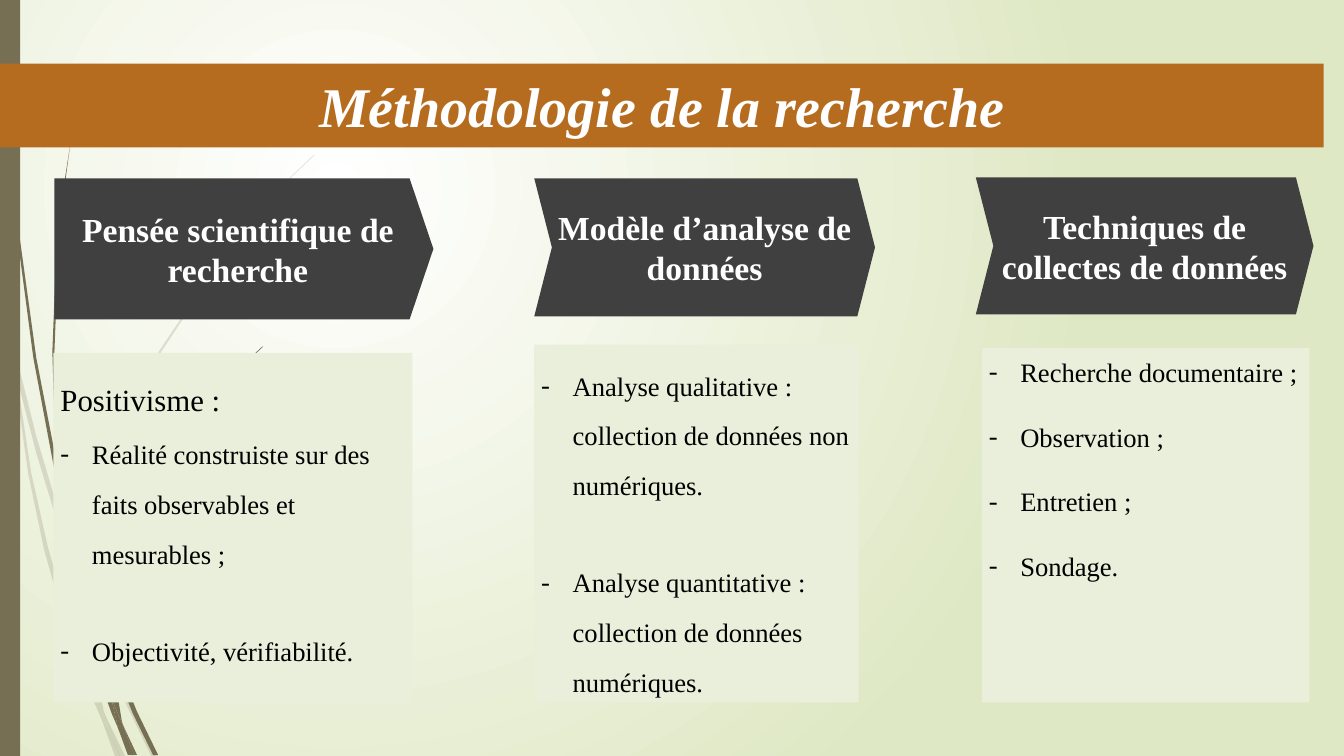
import pptx
import pptx.dml.color
import pptx.enum.shapes
import pptx.enum.text
import pptx.oxml
import pptx.oxml.ns
import pptx.util

Pt = pptx.util.Pt
RGB = pptx.dml.color.RGBColor
Preset = pptx.enum.shapes.MSO_SHAPE
Align = pptx.enum.text.PP_ALIGN
Anchor = pptx.enum.text.MSO_ANCHOR
qn = pptx.oxml.ns.qn

FONT = "Times New Roman"
WHITE = RGB(0xFF, 0xFF, 0xFF)
BLACK = RGB(0, 0, 0)
PALE_GREEN = RGB(0xDF, 0xE8, 0xC4)
CARD_GREEN = RGB(0xEA, 0xEF, 0xDB)
OLIVE = RGB(0x76, 0x6F, 0x54)
CHARCOAL = RGB(0x40, 0x40, 0x40)
BROWN = RGB(0xB6, 0x6C, 0x1F)
DASH_INDENT = 22.5

# Content: boxes are left, top, width, height in points
TITLE = "Méthodologie de la recherche"
TITLE_BOX = (0, 45.4, 945.4, 59.8)
SIDE_BAR = (0, 0, 14.4, 540)

# Each line: text, size, dash, space before
COLUMNS = [
    dict(heading="Pensée scientifique de recherche", preset=Preset.PENTAGON,
         point=0.169, heading_box=(38.9, 127.4, 270.7, 100.8),
         card_box=(38.2, 252, 256.3, 249.8), spacing=1.56,
         lines=[("Positivisme :", 22, False, 0),
                ("Réalité construiste sur des faits observables et mesurables ;",
                 19, True, 2),
                ("Objectivité, vérifiabilité.", 19, True, 34)]),
    dict(heading="Modèle d’analyse de données", preset=Preset.CHEVRON,
         point=0.128, heading_box=(381.6, 127.4, 243.4, 98.6),
         card_box=(381.6, 246.2, 231.8, 255.6), spacing=1.56,
         lines=[("Analyse qualitative : collection de données non numériques.",
                 19, True, 0),
                ("Analyse quantitative : collection de données numériques.",
                 19, True, 34)]),
    dict(heading="Techniques de collectes de données", preset=Preset.CHEVRON,
         point=0.128, heading_box=(697, 126.7, 241.2, 97.9),
         card_box=(701.3, 248.4, 234, 253.4), spacing=1.04,
         lines=[("Recherche documentaire ;", 19, True, 0),
                ("Observation ;", 19, True, 22.5),
                ("Entretien ;", 19, True, 22.5),
                ("Sondage.", 19, True, 22.5)]),
]

# Outlines of the grass blades, in points
PALE_BLADES = [
    [(41.8, 375.8), (60.5, 431.3), (61.2, 421.9), (44.6, 374.4), (26, 311.9),
     (10.1, 248.4), (12.2, 270.7), (25.9, 323.6)],
    [(66.2, 437), (63.4, 429.1), (63.4, 439.2), (88.6, 499.7), (108, 540),
     (111.6, 540), (91.4, 498.2)],
    [(85.7, 540), (89.3, 540), (75.6, 511.9)],
    [(67, 491.8), (50.4, 445.7), (34.5, 392), (22.3, 337.7), (12.2, 270.7),
     (7.9, 252), (20.2, 338.4), (31.6, 393), (46.8, 447.1), (66.2, 499),
     (72.7, 514.1), (71.3, 509)],
    [(60.5, 431.3), (62.6, 465.1), (67, 491.8), (69.1, 498.2), (75.6, 511.9),
     (74.2, 508.3), (65.5, 465.1), (63.4, 439.2)],
    [(63.4, 420.5), (79.2, 332.6), (115.2, 251.3), (164.9, 176.4), (193, 142.6),
     (208.8, 126), (224.6, 110.9), (224.6, 110.2), (208.1, 126), (193, 141.8),
     (164.2, 175.7), (113.8, 250.6), (77, 331.9), (61.2, 420.5), (63.4, 429.1)],
    [(72.7, 514.1), (82.1, 540), (85.7, 540)],
    [(69.1, 498.2), (67, 491.8), (71.3, 509), (72.7, 514.1), (85.7, 540),
     (75.6, 511.9)],
]
DARK_BLADES = [
    [(5, 79.2), (12.2, 167.8), (23.8, 255.6), (40.3, 343.4), (41, 346.3),
     (39.6, 329), (39.6, 326.2), (25.9, 255.6), (13.7, 167), (5.8, 78.5),
     (3.6, 34.6), (2.9, 0), (2.2, 0), (2.9, 34.6)],
    [(81.4, 467.3), (79.2, 461.5), (79.9, 472.3), (95, 509.8), (109.4, 539.3),
     (113, 539.3), (97.9, 508.3)],
    [(79.2, 497.5), (70.6, 473), (51.8, 400.3), (46.1, 363.6), (41, 343.4),
     (49, 401), (67, 474.5), (79.9, 509.8), (84.2, 519.8), (83.5, 516.2)],
    [(43.2, 339.8), (41.8, 326.2), (38.9, 251.3), (41.8, 176.4), (45.4, 139),
     (50.4, 101.5), (44.6, 139), (40.3, 176.4), (37.4, 251.3), (39.6, 323.3)],
    [(95.8, 539.3), (97.9, 539.3), (87.8, 517.7)],
    [(79.9, 455.8), (90, 397.4), (113.8, 342.7), (147.6, 292.3), (166.3, 269.3),
     (176.4, 258.5), (187.9, 247.7), (187.2, 247.7), (176.4, 257.8),
     (166.3, 268.6), (146.9, 291.6), (112.3, 341.3), (87.8, 396.7),
     (76.3, 454.3), (79.2, 461.5)],
    [(84.2, 519.8), (91.4, 539.3), (94.3, 539.3)],
    [(76.3, 464.4), (79.2, 497.5), (83.5, 508.3), (87.8, 517.7), (87.1, 515.5),
     (79.9, 472.3)],
    [(83.5, 508.3), (79.2, 497.5), (83.5, 516.2), (84.2, 519.8), (93.6, 539.3),
     (95.8, 539.3), (87.8, 517.7)],
]


def add_xml(parent, tag, **attributes):
    child = pptx.oxml.ns.qn(tag)
    element = parent.makeelement(child, attributes)
    parent.append(element)
    return element


def paint(part, color):
    part.shadow.inherit = False
    part.fill.solid()
    part.fill.fore_color.rgb = color
    part.line.fill.background()


def place(part, box):
    part.left, part.top, part.width, part.height = (Pt(v) for v in box)


def set_frame(part, anchor, inset_x, inset_y):
    frame = part.text_frame
    frame.word_wrap = True
    frame.auto_size = pptx.enum.text.MSO_AUTO_SIZE.NONE
    frame.vertical_anchor = anchor
    frame.margin_left = frame.margin_right = Pt(inset_x)
    frame.margin_top = frame.margin_bottom = Pt(inset_y)
    return frame


def write(paragraph, text, *, size, color=WHITE, bold=True, italic=False,
          align=Align.CENTER, spacing=1.0, before=0, dash=False):
    run = paragraph.add_run()
    run.text = text
    font = run.font
    font.name, font.size, font.bold, font.italic = FONT, Pt(size), bold, italic
    font.color.rgb = color
    paragraph.alignment = align
    paragraph.line_spacing = spacing
    paragraph.space_before, paragraph.space_after = Pt(before), Pt(0)
    properties = paragraph._p.get_or_add_pPr()
    indent = Pt(DASH_INDENT) if dash else 0
    properties.set("marL", str(indent))
    properties.set("indent", str(-indent))
    if dash:
        add_xml(properties, "a:buFont", typeface=FONT)
        add_xml(properties, "a:buChar", char="-")
    else:
        add_xml(properties, "a:buNone")


deck = pptx.Presentation()
deck.slide_width, deck.slide_height = Pt(960), Pt(540)
slide = deck.slides.add_slide(deck.slide_layouts[4])
shapes = slide.shapes
title, *cards = list(slide.placeholders)
unused = cards.pop()
unused._element.getparent().remove(unused._element)

# Background: circular glow
glow = slide.background.fill
glow.gradient()
for stop, color, position in zip(glow.gradient_stops, (WHITE, PALE_GREEN), (0, 1)):
    stop.color.rgb, stop.position = color, position
gradient = slide.element.find(".//" + qn("a:gradFill"))
gradient.remove(gradient.find(qn("a:lin")))
circle = add_xml(gradient, "a:path", path="circle")
add_xml(circle, "a:fillToRect", l="50000", t="50000", r="100000", b="100000")

# Grass blades and side bar
for blades, alpha in ((PALE_BLADES, "20000"), (DARK_BLADES, None)):
    for outline in blades:
        tenths = [(round(x * 10), round(y * 10)) for x, y in outline]
        builder = shapes.build_freeform(*tenths[0], scale=Pt(0.1))
        builder.add_line_segments(tenths[1:], close=True)
        blade = builder.convert_to_shape()
        paint(blade, OLIVE)
        if alpha:
            tint = blade._element.spPr.find(".//" + qn("a:srgbClr"))
            add_xml(tint, "a:alpha", val=alpha)
side_bar = shapes.add_shape(Preset.RECTANGLE, *(Pt(v) for v in SIDE_BAR))
paint(side_bar, OLIVE)

# Columns: a card below an arrow heading
for column, card in zip(COLUMNS, cards):
    shapes._spTree.append(card._element)
    place(card, column["card_box"])
    paint(card, CARD_GREEN)
    frame = set_frame(card, Anchor.TOP, 5, 5)
    for number, (text, size, dash, before) in enumerate(column["lines"]):
        paragraph = frame.add_paragraph() if number else frame.paragraphs[0]
        write(paragraph, text, size=size, color=BLACK, bold=False,
              align=Align.LEFT, spacing=column["spacing"], before=before, dash=dash)

    heading = shapes.add_shape(column["preset"], *(Pt(v) for v in column["heading_box"]))
    heading.adjustments[0] = column["point"]
    paint(heading, CHARCOAL)
    frame = set_frame(heading, Anchor.MIDDLE, 3, 3)
    write(frame.paragraphs[0], column["heading"], size=24)

# Title band
shapes._spTree.append(title._element)
place(title, TITLE_BOX)
paint(title, BROWN)
frame = set_frame(title, Anchor.MIDDLE, 7.2, 3.6)
write(frame.paragraphs[0], TITLE, size=40, italic=True)

deck.save("out.pptx")
